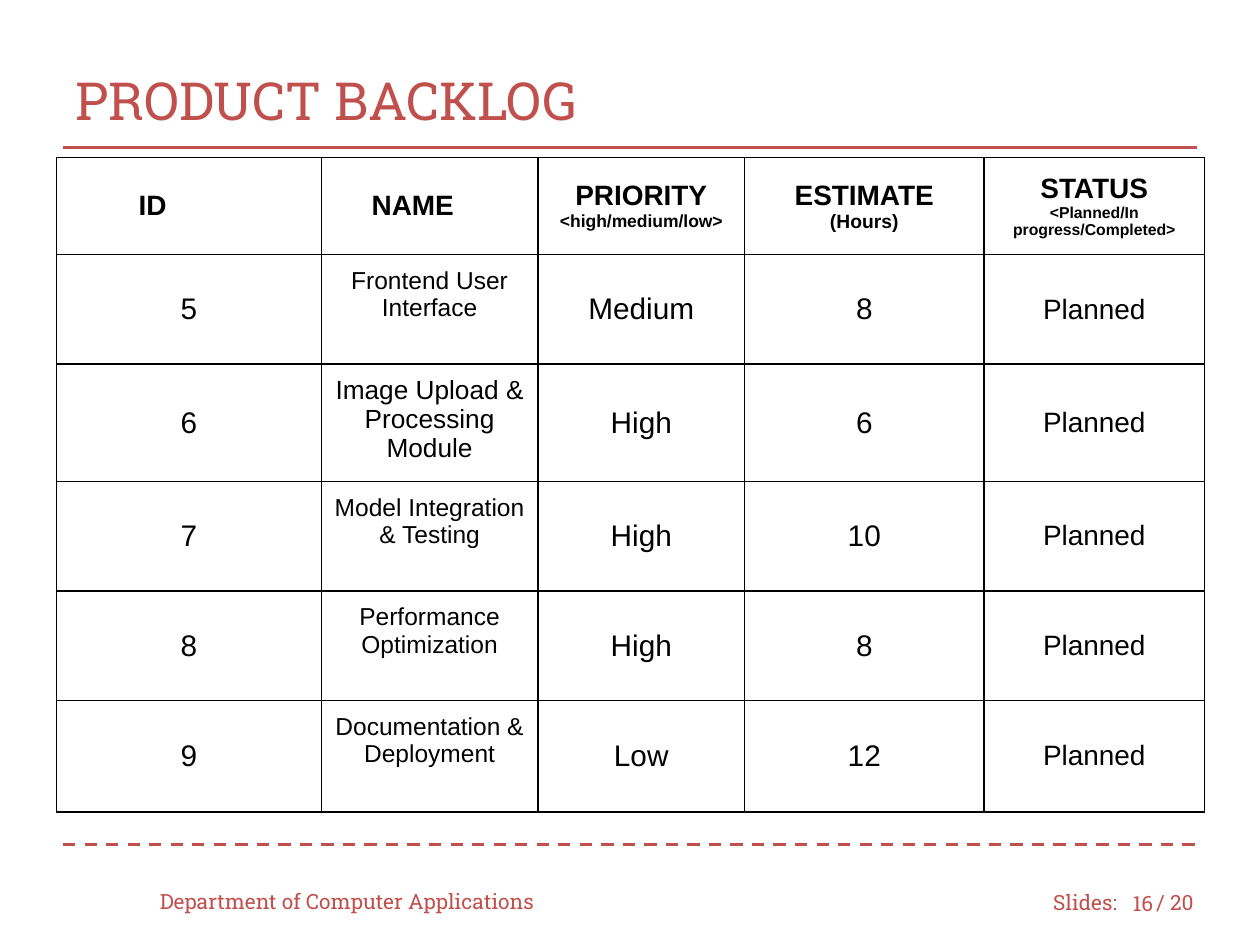
from dataclasses import dataclass

from lxml.etree import SubElement
from pptx import Presentation
from pptx.dml.color import RGBColor
from pptx.enum.dml import MSO_LINE_DASH_STYLE as Dash
from pptx.enum.shapes import MSO_CONNECTOR as Connector
from pptx.enum.text import MSO_ANCHOR as Anchor, MSO_AUTO_SIZE as AutoSize, PP_ALIGN as Align
from pptx.oxml.ns import qn
from pptx.util import Emu, Inches, Pt

COLORS = {"accent": "C0504D", "ink": "000000", "paper": "FFFFFF"}
BODY, SLAB = "Arial", "Roboto Slab"
WIDTH, HEIGHT = Inches(10), Inches(7.5)


def across(percent: float) -> Emu:
    """Length as a percentage of the slide width."""
    return Emu(round(WIDTH * percent / 100))


def down(percent: float) -> Emu:
    """Length as a percentage of the slide height."""
    return Emu(round(HEIGHT * percent / 100))


@dataclass(frozen=True)
class Label:
    text: str
    left: float
    top: float
    width: float
    align: Align = Align.LEFT


@dataclass(frozen=True)
class Rule:
    top: float
    dash: Dash | None = None


@dataclass(frozen=True)
class Column:
    width: float
    title: str
    size: float
    note: str = ""
    note_size: float = 0
    indent: float = 0  # header inset in inches; 0 centres the header


@dataclass(frozen=True)
class Item:
    height: float
    values: tuple[str, ...]
    name_size: float = 14


LABELS = [
    Label("Slides:", 82.6, 92.8, 7.5),
    Label("/ 20", 90.8, 92.8, 5.8),
    Label("Department of Computer Applications", 11.7, 92.67, 33.3),
    Label("16", 88.3, 92.93, 4.2, Align.RIGHT),
]
RULES = [Rule(89.33, Dash.DASH), Rule(15.6)]
COLUMNS = [
    Column(21, "ID", 17, indent=0.65),
    Column(17.2, "NAME", 14, indent=0.4),
    Column(16.4, "PRIORITY", 17, "<high/medium/low>", 10),
    Column(19, "ESTIMATE", 17, "(Hours)", 11),
    Column(17.5, "STATUS", 16, "<Planned/In progress/Completed>", 9),
]
HEADER_HEIGHT, NAME_COLUMN = 10.27, 1
ITEMS = [
    Item(11.6, ("5", "Frontend User Interface", "Medium", "8", "Planned")),
    Item(12, ("6", "Image Upload & Processing\nModule", "High", "6", "Planned"), 15),
    Item(11.6, ("7", "Model Integration & Testing", "High", "10", "Planned")),
    Item(11.6, ("8", "Performance Optimization", "High", "8", "Planned")),
    Item(11.8, ("9", "Documentation & Deployment", "Low", "12", "Planned")),
]


def add_run(p, text: str, size: float, font: str, color: str, bold: bool = False) -> None:
    r = p.add_run()
    r.text = text
    r.font.size, r.font.name, r.font.bold = Pt(size), font, bold
    r.font.color.rgb = RGBColor.from_string(COLORS[color])


def add_label(s, label: Label) -> None:
    sp = s.shapes.add_textbox(
        across(label.left), down(label.top), across(label.width), Inches(0.4))
    tf = sp.text_frame
    tf.word_wrap, tf.vertical_anchor = True, Anchor.MIDDLE
    p = tf.paragraphs[0]
    p.alignment = label.align
    add_run(p, label.text, 12, SLAB, "accent")


def add_rule(s, rule: Rule) -> None:
    line = s.shapes.add_connector(
        Connector.STRAIGHT, across(5), down(rule.top), across(95), down(rule.top))
    line.line.color.rgb = RGBColor.from_string(COLORS["accent"])
    line.line.width = Pt(1.75)
    if rule.dash:
        line.line.dash_style = rule.dash
    SubElement(line._element.spPr, qn("a:effectLst"))


def set_title(s, text: str) -> None:
    title = s.shapes.title
    title.left, title.top = across(5), down(4.4)
    title.width, title.height = across(90), down(12.27)
    tf = title.text_frame
    tf.auto_size, tf.vertical_anchor = AutoSize.NONE, Anchor.MIDDLE
    p = tf.paragraphs[0]
    p.alignment = Align.LEFT
    add_run(p, text, 30, SLAB, "accent")


def style_cell(cell, anchor: Anchor, pad: float = 0.1) -> None:
    """Set insets and anchor, then the border lines, then the fill."""
    cell.margin_left = cell.margin_right = Inches(0.1)
    cell.margin_top = cell.margin_bottom = Inches(pad)
    cell.vertical_anchor = anchor
    props = cell._tc.get_or_add_tcPr()
    for side in ("lnL", "lnR", "lnT", "lnB"):
        border = SubElement(props, qn(f"a:{side}"), w=str(Pt(1)))
        paint = SubElement(border, qn("a:solidFill"))
        SubElement(paint, qn("a:srgbClr"), val=COLORS["ink"])
    cell.fill.solid()
    cell.fill.fore_color.rgb = RGBColor.from_string(COLORS["paper"])


def write_cell(cell, lines: list[tuple[str, float]], bold: bool, align: Align) -> None:
    tf = cell.text_frame
    for i, (text, size) in enumerate(lines):
        p = tf.add_paragraph() if i else tf.paragraphs[0]
        p.alignment = align
        add_run(p, text, size, BODY, "ink", bold)


def add_backlog(s) -> None:
    heights = [HEADER_HEIGHT, *(item.height for item in ITEMS)]
    table = s.shapes.add_table(
        len(heights), len(COLUMNS), across(4.5), down(16.67),
        across(sum(c.width for c in COLUMNS)), down(sum(heights))).table
    for row, height in zip(table.rows, heights):
        row.height = down(height)
    for j, column in enumerate(COLUMNS):
        table.columns[j].width = across(column.width)
        head = table.cell(0, j)
        style_cell(head, Anchor.MIDDLE)
        lines = [(column.title, 16)]
        if column.note:
            lines.append((column.note, column.note_size))
        if column.indent:
            head.margin_left = Inches(column.indent)
        write_cell(head, lines, True, Align.LEFT if column.indent else Align.CENTER)
        for i, item in enumerate(ITEMS, 1):
            cell = table.cell(i, j)
            is_name = j == NAME_COLUMN
            size = item.name_size if is_name else column.size
            style_cell(cell, Anchor.TOP if is_name else Anchor.MIDDLE,
                       0.09 if size == 15 else 0.1)
            lines = [(text, size) for text in item.values[j].split("\n")]
            write_cell(cell, lines, False, Align.CENTER)


def main() -> None:
    prs = Presentation()
    prs.slide_width, prs.slide_height = WIDTH, HEIGHT
    s = prs.slides.add_slide(prs.slide_layouts[5])
    for rule in RULES:
        add_rule(s, rule)
    set_title(s, "PRODUCT BACKLOG")
    for label in LABELS:
        add_label(s, label)
    add_backlog(s)
    prs.save("out.pptx")


if __name__ == "__main__":
    main()
